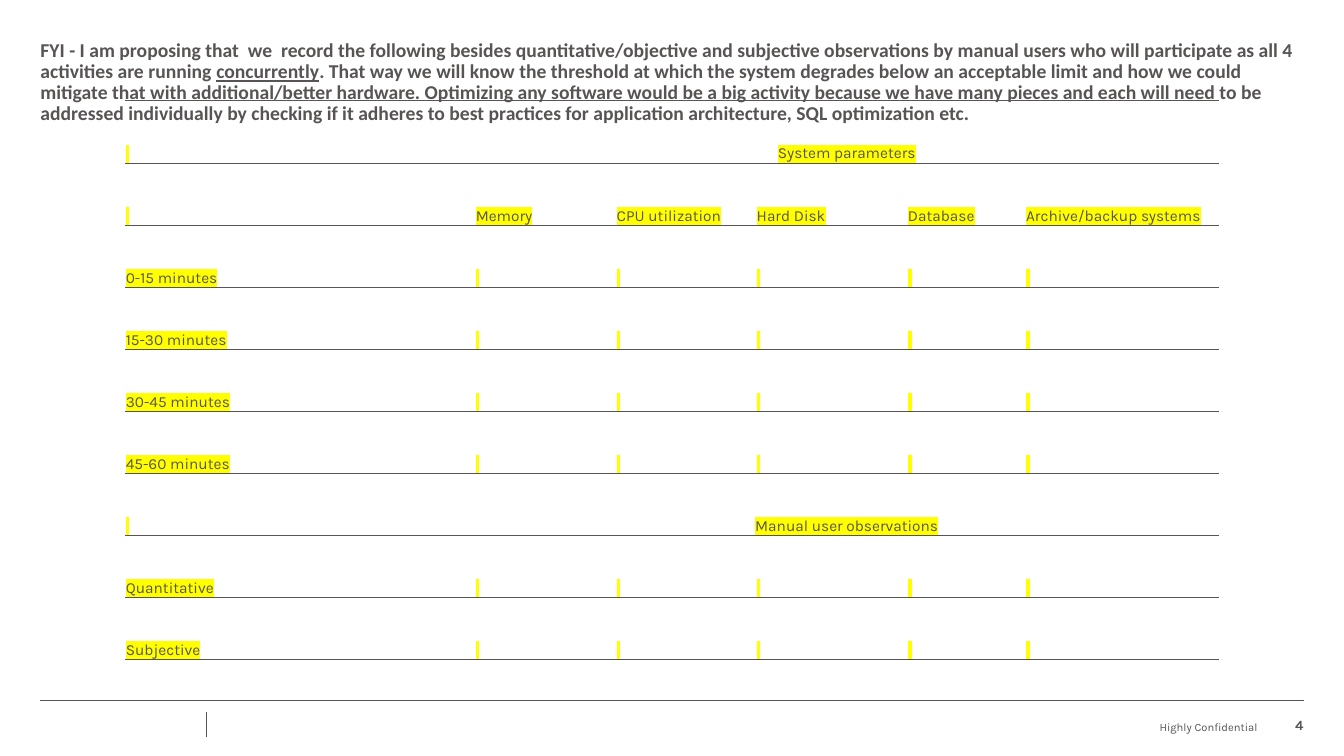
from lxml.etree import SubElement
from pptx import Presentation
from pptx.dml.color import RGBColor
from pptx.enum.shapes import MSO_CONNECTOR
from pptx.enum.text import MSO_ANCHOR, MSO_AUTO_SIZE, PP_ALIGN
from pptx.oxml.ns import qn
from pptx.util import Cm, Pt

GREY = RGBColor(0x59, 0x54, 0x54)
YELLOW = RGBColor(0xFF, 0xFF, 0x00)
BLANK = "\u00a0"

TITLE_RUNS = [
    ("FYI - I am proposing that \u00a0we \u00a0record the following besides "
     "quantitative/objective and subjective observations by manual users who will "
     "participate as all 4 activities are running ", False),
    ("concurrently", True),
    (". That way we will know the threshold at which the system degrades below an "
     "acceptable limit and how we could mitigate that with additional/better hardware. "
     "Optimizing any software would be a big activity because we have many pieces and "
     "each will need to be addressed individually by checking if it adheres to best "
     "practices for application architecture, SQL optimization etc.", False),
]
COLUMN_WIDTHS = [8.82, 3.55, 3.53, 3.81, 2.98, 4.87]
PARAMETERS = ["Memory", "CPU utilization", "Hard Disk", "Database", "Archive/backup systems"]
INTERVALS = ["0-15 minutes", "15-30 minutes", "30-45 minutes", "45-60 minutes"]
OBSERVATIONS = ["Quantitative", "Subjective"]


def style_font(paragraph, name, size, bold=False):
    """Give a paragraph its typeface, size and grey colour."""
    font = paragraph.font
    font.name, font.size, font.bold = name, Pt(size), bold
    font.color.rgb = GREY


def set_frame(frame, anchor):
    """Remove the insets of a text frame and anchor it."""
    frame.margin_left = frame.margin_right = frame.margin_top = frame.margin_bottom = 0
    frame.word_wrap = True
    frame.auto_size = MSO_AUTO_SIZE.NONE
    frame.vertical_anchor = anchor


def fill_title(title):
    """Place the title and write its runs."""
    title.left, title.top, title.width, title.height = Cm(1.02), Cm(1.02), Cm(31.83), Cm(2.54)
    set_frame(title.text_frame, MSO_ANCHOR.TOP)
    paragraph = title.text_frame.paragraphs[0]
    paragraph.alignment = PP_ALIGN.LEFT
    paragraph.line_spacing = 0.9
    style_font(paragraph, "Calibri", 14, True)
    for text, underlined in TITLE_RUNS:
        run = paragraph.add_run()
        run.text = text
        if underlined:
            run.font.underline = True


def add_rule(slide, x1, y1, x2, y2):
    """Draw a thin grey rule."""
    rule = slide.shapes.add_connector(MSO_CONNECTOR.STRAIGHT, Cm(x1), Cm(y1), Cm(x2), Cm(y2))
    rule.line.color.rgb = GREY
    rule.line.width = Pt(0.5)
    SubElement(rule._element.spPr, qn("a:effectLst"))


def add_footer(slide, text, left, width, size, bold=False):
    """Write a right-aligned footer text."""
    footer = slide.shapes.add_textbox(Cm(left), Cm(17.85), Cm(width), Cm(0.64))
    set_frame(footer.text_frame, MSO_ANCHOR.BOTTOM)
    paragraph = footer.text_frame.paragraphs[0]
    paragraph.text = text
    paragraph.alignment = PP_ALIGN.RIGHT
    style_font(paragraph, "Karla", size, bold)


def set_borders(cell):
    """Rule a cell above and below only."""
    properties = cell._tc.get_or_add_tcPr()
    for side in ("L", "R"):
        SubElement(SubElement(properties, qn(f"a:ln{side}")), qn("a:noFill"))
    for side in ("T", "B"):
        border = SubElement(properties, qn(f"a:ln{side}"), w=str(Pt(0.5)))
        SubElement(SubElement(border, qn("a:solidFill")), qn("a:srgbClr"), val=str(GREY))


def fill_cell(cell, text, alignment):
    """Write highlighted text at the bottom of a cell."""
    cell.margin_left = cell.margin_right = cell.margin_top = Cm(0.02)
    cell.margin_bottom = 0
    cell.vertical_anchor = MSO_ANCHOR.BOTTOM
    paragraph = cell.text_frame.paragraphs[0]
    paragraph.alignment = alignment
    style_font(paragraph, "Karla", 11)
    run = paragraph.add_run()
    run.text = text
    highlight = SubElement(run._r.get_or_add_rPr(), qn("a:highlight"))
    SubElement(highlight, qn("a:srgbClr"), val=str(YELLOW))


def add_record_table(slide):
    """Build the sheet for system parameters and user observations."""
    blanks = [BLANK] * len(PARAMETERS)
    rows = [[BLANK, "System parameters"], [BLANK, *PARAMETERS]]
    rows += [[interval, *blanks] for interval in INTERVALS]
    rows += [[BLANK, "Manual user observations"]]
    rows += [[observation, *blanks] for observation in OBSERVATIONS]
    table = slide.shapes.add_table(len(rows), len(COLUMN_WIDTHS), Cm(3.15), Cm(2.54),
                                   Cm(sum(COLUMN_WIDTHS)), Cm(14.07)).table
    table.first_row = table.horz_banding = False
    for column, width in zip(table.columns, COLUMN_WIDTHS):
        column.width = Cm(width)
    for cell in table.iter_cells():
        set_borders(cell)
        cell.fill.background()
    for row, texts in enumerate(rows):
        is_heading = len(texts) == 2
        if is_heading:
            table.cell(row, 1).merge(table.cell(row, len(COLUMN_WIDTHS) - 1))
        for column, text in enumerate(texts):
            centred = is_heading and column == 1
            fill_cell(table.cell(row, column), text,
                      PP_ALIGN.CENTER if centred else PP_ALIGN.LEFT)


def main():
    """Build the slide and save it."""
    presentation = Presentation()
    presentation.slide_width, presentation.slide_height = Cm(33.87), Cm(19.05)
    slide = presentation.slides.add_slide(presentation.slide_layouts[5])
    fill_title(slide.shapes.title)
    add_rule(slide, 1.02, 17.65, 32.85, 17.65)
    add_rule(slide, 5.21, 17.93, 5.21, 18.57)
    add_footer(slide, "Highly Confidential", 22.78, 8.92, 8)
    add_footer(slide, "4", 31.95, 0.9, 10, True)
    add_record_table(slide)
    presentation.save("out.pptx")


main()
